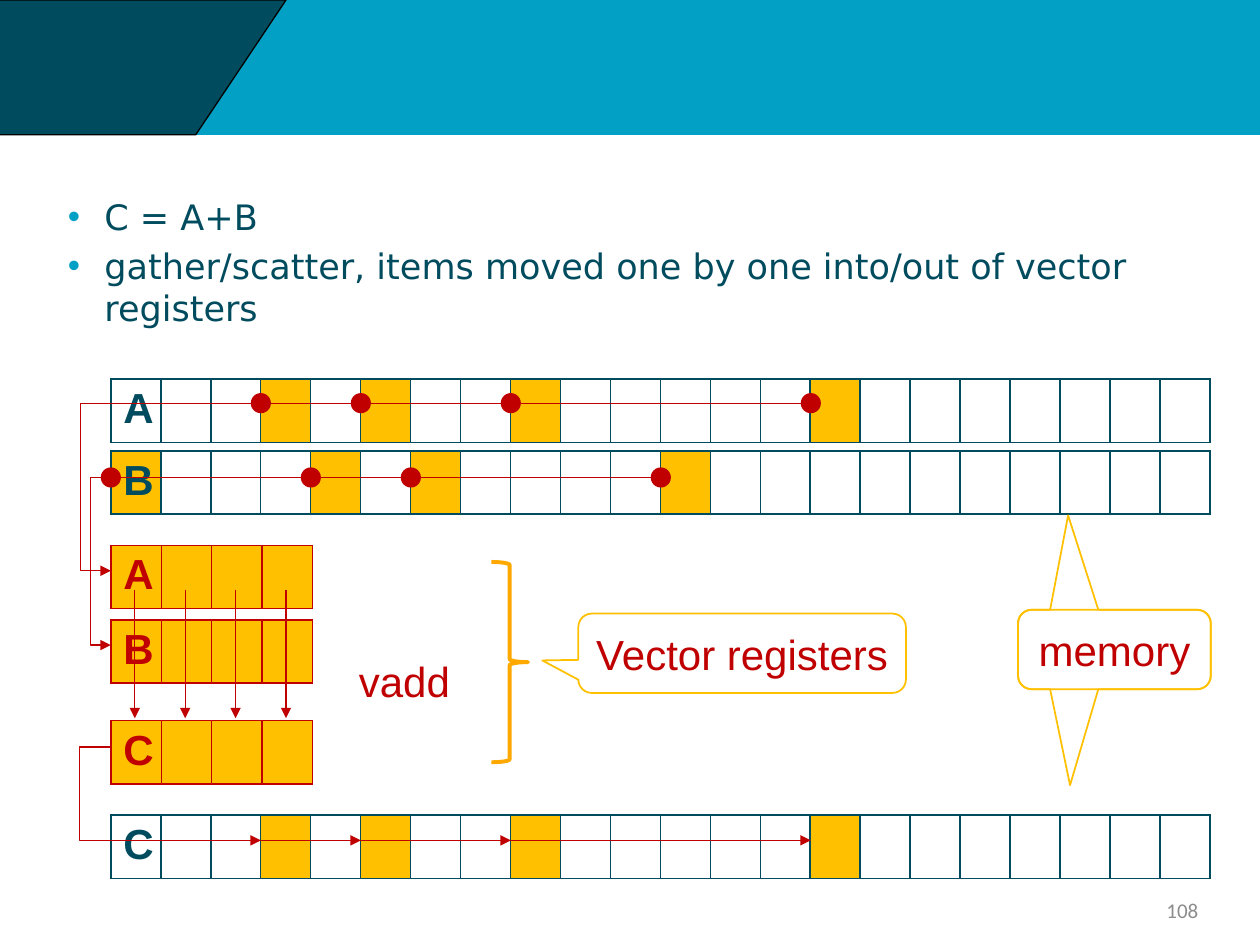
from lxml import etree
from pptx import Presentation
from pptx.dml.color import RGBColor
from pptx.enum.shapes import MSO_CONNECTOR as CONN, MSO_SHAPE as SHAPE
from pptx.enum.text import MSO_ANCHOR as ANCHOR, PP_ALIGN as ALIGN
from pptx.oxml.ns import qn
from pptx.util import Inches, Pt

TEAL, SKY, RED, GOLD = "004C5E", "03A0C5", "C00000", "FFC000"
LEFT, COLS = 0.88, 22
CELL = 8.73 / COLS
ROW_H = 0.41
DOT = 0.16


def rgb(value):
    return RGBColor.from_string(value)


def edge(col):
    """Left edge of a memory cell."""
    return LEFT + col * CELL


class Deck:
    label = dict(size=Pt(24), name="Arial", bold=False)

    def __init__(self, prs):
        self.s = prs.slides.add_slide(prs.slide_layouts[6])

    def add_run(self, p, text, color, **fmt):
        r = p.add_run()
        r.text = text
        for key, value in {**self.label, **fmt}.items():
            setattr(r.font, key, value)
        r.font.color.rgb = rgb(color)

    def shape(self, kind, box, fill=None, line=None, width=1, adj=()):
        sp = self.s.shapes.add_shape(kind, *map(Inches, box))
        sp.shadow.inherit = False
        if fill:
            sp.fill.solid()
            sp.fill.fore_color.rgb = rgb(fill)
        else:
            sp.fill.background()
        if line:
            sp.line.color.rgb = rgb(line)
            sp.line.width = Pt(width)
        else:
            sp.line.fill.background()
        for i, value in enumerate(adj):
            sp.adjustments[i] = value
        return sp

    def text(self, box, text, color, align=ALIGN.LEFT, anchor=ANCHOR.TOP, **fmt):
        tf = self.s.shapes.add_textbox(*map(Inches, box)).text_frame
        tf.word_wrap = True
        tf.vertical_anchor = anchor
        tf.paragraphs[0].alignment = align
        self.add_run(tf.paragraphs[0], text, color, **fmt)

    def bullets(self, box, items):
        tf = self.s.shapes.add_textbox(*map(Inches, box)).text_frame
        tf.word_wrap = True
        for i, item in enumerate(items):
            p = tf.add_paragraph() if i else tf.paragraphs[0]
            pPr = p._p.get_or_add_pPr()
            pPr.set("marL", str(Inches(0.29)))
            pPr.set("indent", str(-Inches(0.29)))
            color = etree.SubElement(pPr, qn("a:buClr"))
            etree.SubElement(color, qn("a:srgbClr")).set("val", SKY)
            etree.SubElement(pPr, qn("a:buFont")).set("typeface", "Arial")
            etree.SubElement(pPr, qn("a:buChar")).set("char", "•")
            p.space_before = Pt(2 if i else 0)
            p.space_after = Pt(2)
            self.add_run(p, item, TEAL, size=Pt(20), name="DejaVu Sans")

    def borders(self, cell, color):
        tcPr = cell._tc.get_or_add_tcPr()
        for i, side in enumerate(("lnL", "lnR", "lnT", "lnB")):
            ln = etree.Element(qn("a:" + side), w=str(Pt(1)))
            fill = etree.SubElement(ln, qn("a:solidFill"))
            etree.SubElement(fill, qn("a:srgbClr")).set("val", color)
            tcPr.insert(i, ln)

    def vector(self, name, top, cols, width, color, marked):
        """One row of cells with its name in the first one."""
        box = map(Inches, (LEFT, top, width, ROW_H))
        table = self.s.shapes.add_table(1, cols, *box).table
        table.first_row = table.horz_banding = False
        for i, cell in enumerate(table.rows[0].cells):
            table.columns[i].width = Inches(width / cols)
            if i in marked:
                cell.fill.solid()
                cell.fill.fore_color.rgb = rgb(GOLD)
            else:
                cell.fill.background()
            self.borders(cell, color)
        p = table.cell(0, 0).text_frame.paragraphs[0]
        self.add_run(p, name, color, bold=True)

    def arrow(self, start, end, bend=None):
        kind = CONN.STRAIGHT if bend is None else CONN.ELBOW
        c = self.s.shapes.add_connector(kind, *map(Inches, start + end))
        c.line.color.rgb = rgb(RED)
        c.line.width = Pt(0.75)
        spPr = c._element.spPr
        etree.SubElement(spPr, qn("a:effectLst"))
        ln = spPr.find(qn("a:ln"))
        etree.SubElement(ln, qn("a:tailEnd")).set("type", "triangle")
        if bend is not None:
            # bend is the x of the vertical part
            ratio = (bend - start[0]) / (end[0] - start[0])
            guides = spPr.find(qn("a:prstGeom")).find(qn("a:avLst"))
            guide = etree.SubElement(guides, qn("a:gd"))
            guide.set("name", "adj1")
            guide.set("fmla", f"val {round(ratio * 100000)}")

    def callout(self, box, pointer, text=None):
        sp = self.shape(SHAPE.ROUNDED_RECTANGULAR_CALLOUT, box, line=GOLD, adj=pointer)
        if text:
            tf = sp.text_frame
            tf.word_wrap = False
            tf.margin_left = tf.margin_right = Inches(0.08)
            tf.vertical_anchor = ANCHOR.MIDDLE
            tf.paragraphs[0].alignment = ALIGN.CENTER
            self.add_run(tf.paragraphs[0], text, RED)


def main():
    prs = Presentation()
    prs.slide_width, prs.slide_height = Inches(10), Inches(7.5)
    d = Deck(prs)

    # Header band and page number
    d.shape(SHAPE.RECTANGLE, (0, 0, 10, 1.07), SKY, SKY, 0.75)
    corner = d.shape(SHAPE.TRAPEZOID, (-2.26, 0, 4.53, 1.07), TEAL, "000000", 0.75, [0.67])
    corner.rotation = 180
    d.text((7.28, 7.02, 2.33, 0.4), "108", "8C8C8C", ALIGN.RIGHT, ANCHOR.MIDDLE,
           size=Pt(12), name="Calibri")

    # Body
    d.bullets((0.44, 1.5, 9.17, 1.38), [
        "C = A+B",
        "gather/scatter, items moved one by one into/out of vector registers",
    ])

    # Memory rows and vector registers
    a_cells, b_cells = (3, 5, 8, 14), (0, 4, 6, 11)
    memory = [("A", 3.01, a_cells), ("B", 3.58, b_cells), ("C", 6.47, a_cells)]
    for name, top, marked in memory:
        d.vector(name, top, COLS, 8.73, TEAL, marked)
    for name, top in (("A", 4.33), ("B", 4.92), ("C", 5.72)):
        d.vector(name, top, 4, 1.6, RED, range(4))
    d.text((2.75, 5.15, 1, 0.48), "vadd", RED)

    # Gather from memory, add, scatter back
    gathers = [(a_cells, 3.2, 4.53, 0.64), (b_cells, 3.79, 5.12, 0.72)]
    for cells, y, register_y, bend in gathers:
        d.arrow((edge(cells[-1]), y), (LEFT, register_y), bend)
        for col in cells:
            d.shape(SHAPE.OVAL, (edge(col) - DOT / 2, y - DOT / 2, DOT, DOT), RED)
    for i in range(4):
        x = 1.07 + 0.4 * i
        d.arrow((x, 4.68), (x, 5.7))
    d.arrow((LEFT, 5.93), (edge(a_cells[-1]), 6.67), 0.63)
    for col in a_cells[:-1]:
        d.arrow((edge(col) - 0.12, 6.67), (edge(col), 6.67))

    # Callouts
    memory_box = (8.08, 4.84, 1.53, 0.63)
    d.callout(memory_box, (-0.24, -1.69, 0.17), "memory")
    d.callout(memory_box, (-0.23, 1.71, 0.17))
    d.shape(SHAPE.RIGHT_BRACE, (3.9, 4.46, 0.29, 1.59), line="FFA800", width=2.25)
    d.callout((4.59, 4.87, 2.6, 0.63), (-0.61, 0.09, 0.17), "Vector registers")

    prs.save("out.pptx")


if __name__ == "__main__":
    main()
